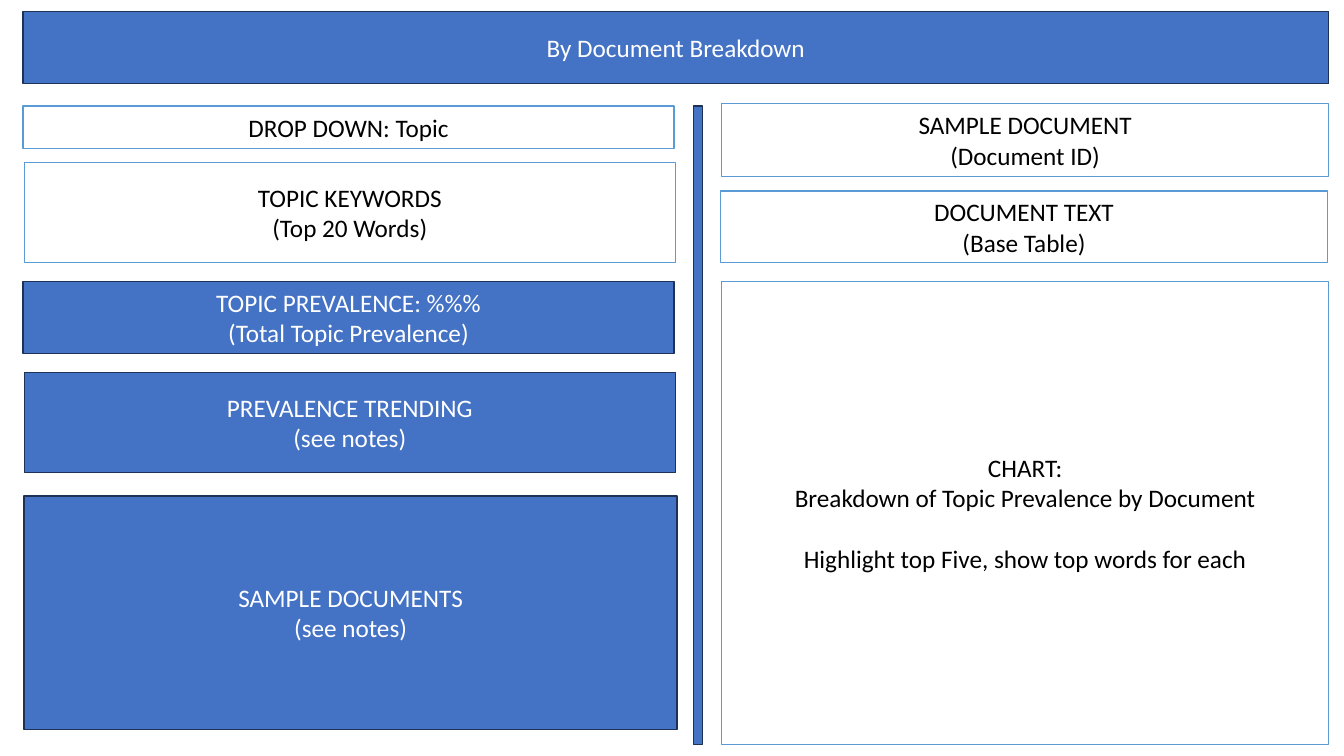
"""Build the wireframe slide for a by-document topic breakdown."""
from dataclasses import dataclass

from pptx import Presentation
from pptx.dml.color import RGBColor
from pptx.enum.shapes import MSO_SHAPE as Preset
from pptx.enum.text import MSO_ANCHOR as Anchor, MSO_AUTO_SIZE as AutoSize, PP_ALIGN as Align
from pptx.util import Pt


@dataclass(frozen=True)
class BoxStyle:
    fill: RGBColor
    line: RGBColor
    text: RGBColor


@dataclass(frozen=True)
class Theme:
    font: str = "Calibri"
    size: float = 18
    line_width: float = 1
    block_gap: float = 22
    solid: BoxStyle = BoxStyle(*map(RGBColor.from_string, ("4472C4", "1E3256", "FFFFFF")))
    outline: BoxStyle = BoxStyle(*map(RGBColor.from_string, ("FFFFFF", "5B9BD5", "000000")))


class Wireframe:
    def __init__(self, slide, theme):
        self.slide = slide
        self.theme = theme

    def paint(self, shape, style):
        shape.fill.solid()
        shape.fill.fore_color.rgb = style.fill
        shape.line.color.rgb = style.line
        shape.line.width = Pt(self.theme.line_width)

    def add_text(self, shape, blocks, style):
        frame = shape.text_frame
        frame.word_wrap = True
        frame.auto_size = AutoSize.NONE
        frame.vertical_anchor = Anchor.MIDDLE
        lines = [
            (text, self.theme.block_gap if block_index and not line_index else 0)
            for block_index, block in enumerate(blocks)
            for line_index, text in enumerate(block)
        ]
        for index, (text, gap) in enumerate(lines):
            paragraph = frame.add_paragraph() if index else frame.paragraphs[0]
            paragraph.alignment = Align.CENTER
            paragraph.space_before = Pt(gap)
            run = paragraph.add_run()
            run.text = text
            run.font.name = self.theme.font
            run.font.size = Pt(self.theme.size)
            run.font.color.rgb = style.text

    def title(self, left, top, width, height, text, style):
        shape = self.slide.shapes.title
        shape.left, shape.top, shape.width, shape.height = map(Pt, (left, top, width, height))
        self.paint(shape, style)
        self.add_text(shape, [[text]], style)

    def box(self, left, top, width, height, style, *blocks):
        shape = self.slide.shapes.add_shape(Preset.RECTANGLE, *map(Pt, (left, top, width, height)))
        shape.shadow.inherit = False
        self.paint(shape, style)
        if blocks:
            self.add_text(shape, blocks, style)


def build():
    presentation = Presentation()
    presentation.slide_width, presentation.slide_height = Pt(960), Pt(540)
    title_only = presentation.slide_layouts[5]
    theme = Theme()
    wireframe = Wireframe(presentation.slides.add_slide(title_only), theme)
    solid, outline = theme.solid, theme.outline

    wireframe.title(16.5, 8.2, 932.5, 51.6, "By Document Breakdown", solid)
    wireframe.box(495.5, 75.7, 6.3, 456.2, solid)

    topic_boxes = [
        (16.5, 75.7, 465, 30.5, outline, ["DROP DOWN: Topic"]),
        (17.4, 116, 465, 71.5, outline, ["TOPIC KEYWORDS", "(Top 20 Words)"]),
        (16.5, 201, 465, 51.5, solid, ["TOPIC PREVALENCE: %%%", "(Total Topic Prevalence)"]),
        (17.4, 266.2, 465, 71.5, solid, ["PREVALENCE TRENDING", "(see notes)"]),
        (17.2, 354.3, 466.5, 166.8, solid, ["SAMPLE DOCUMENTS", "(see notes)"]),
    ]
    document_boxes = [
        (515.5, 74, 433.5, 52, outline, ["SAMPLE DOCUMENT", "(Document ID)"]),
        (514.7, 136.5, 433.5, 51.2, outline, ["DOCUMENT TEXT", "(Base Table)"]),
        (515.5, 201, 433.5, 330.8, outline,
         ["CHART:", "Breakdown of Topic Prevalence by Document"],
         ["Highlight top Five, show top words for each"]),
    ]
    for box in topic_boxes + document_boxes:
        wireframe.box(*box)

    presentation.save("out.pptx")


build()
